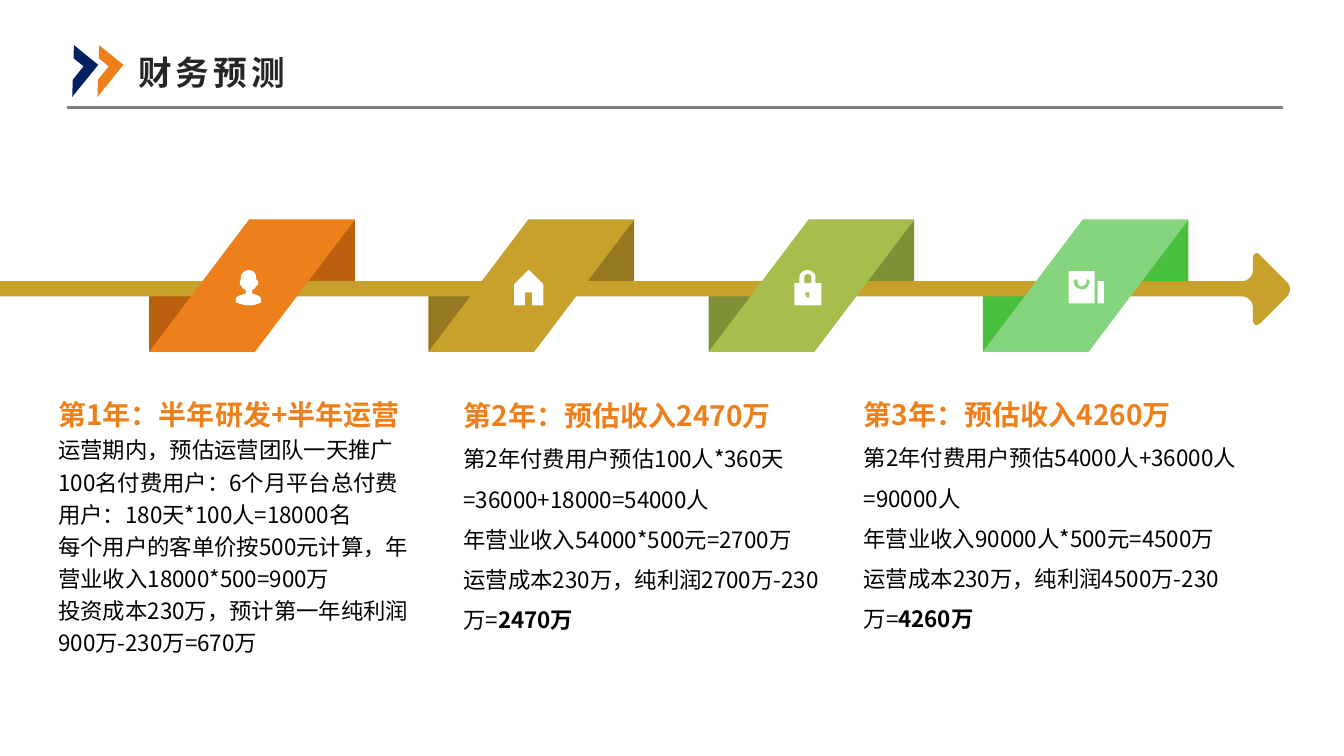
"""Build the financial forecast slide with its ribbon timeline and three yearly columns."""
from dataclasses import dataclass

from lxml import etree
from pptx import Presentation
from pptx.dml.color import RGBColor
from pptx.enum.shapes import MSO_CONNECTOR, MSO_SHAPE
from pptx.enum.text import MSO_ANCHOR, MSO_AUTO_SIZE, PP_ALIGN
from pptx.oxml.ns import qn
from pptx.util import Emu, Inches, Pt

RECTANGLE, HALF_FRAME = MSO_SHAPE.RECTANGLE, MSO_SHAPE.HALF_FRAME
STRAIGHT = MSO_CONNECTOR.STRAIGHT
MIDDLE, LEFT, NO_FIT = MSO_ANCHOR.MIDDLE, PP_ALIGN.LEFT, MSO_AUTO_SIZE.NONE

CELL = Inches(0.1)
COLUMNS, ROWS = 133.33, 75
CJK_FONT, LATIN_FONT = "Noto Sans CJK SC", "Arial"

ORANGE = RGBColor(0xEE, 0x80, 0x1C)
DARK_ORANGE = RGBColor(0xBA, 0x60, 0x0E)
GOLD = RGBColor(0xC8, 0xA0, 0x2C)
DARK_GOLD = RGBColor(0x96, 0x78, 0x21)
OLIVE = RGBColor(0xA7, 0xBD, 0x4C)
DARK_OLIVE = RGBColor(0x7F, 0x91, 0x36)
MINT = RGBColor(0x84, 0xD5, 0x7D)
GREEN = RGBColor(0x48, 0xC0, 0x3E)
NAVY = RGBColor(0x00, 0x20, 0x60)
GRAY = RGBColor(0x80, 0x80, 0x80)
INK = RGBColor(0x26, 0x26, 0x26)
BLACK = RGBColor(0, 0, 0)
WHITE = RGBColor(0xFF, 0xFF, 0xFF)

RIBBON_TOP, RIBBON_BOTTOM, RIBBON_WIDTH = 21.8, 34.9, 20.4
FLAP_WIDTH, FLAP_HEIGHT, FLAP_SHIFT = 10.5, 6.8, 9.9
ICON_SHIFT, ICON_TOP = 8.5, 26.8
CURVE_STEPS = 8

Contour = list[tuple[float, ...]]


@dataclass
class Ribbon:
    """A folded ribbon: its left column, colours and icon contours."""
    left: float
    front: RGBColor
    flap: RGBColor
    icon: list[Contour]


@dataclass
class Forecast:
    """One year's text column on the grid."""
    left: float
    top: float
    width: float
    height: float
    heading: str
    details: list[str]
    result: str
    pitch: float


PERSON = [[
    (2.6, 2.9), (2.6, 2.5, 1.9, 2.4, 1.7, 2.3), (1.7, 2), (1.9, 1.9, 2, 1.8, 2.1, 1.6),
    (2.2, 1.5, 2.3, 1.5, 2.3, 1.4), (2.3, 1.2, 2.3, 1, 2.1, 0.9), (2.1, 0.7),
    (2.1, 0.3, 1.8, 0, 1.4, 0), (1, 0, 0.6, 0.3, 0.6, 0.7), (0.6, 0.9),
    (0.5, 1, 0.5, 1.2, 0.5, 1.4), (0.5, 1.5, 0.6, 1.5, 0.7, 1.6),
    (0.7, 1.8, 0.9, 1.9, 1.1, 2), (1.1, 2.3), (0.9, 2.4, 0.2, 2.5, 0.1, 2.8),
    (0.1, 3.2), (0.2, 3.2, 0.7, 3.5, 1.4, 3.5), (2.1, 3.5, 2.6, 3.2, 2.6, 3.2),
]]
HOUSE = [[
    (0, 1.4), (1.4, 0), (1.5, 0), (2.9, 1.4), (2.9, 3.5), (1.8, 3.5),
    (1.8, 2.2), (1.1, 2.2), (1.1, 3.5), (0, 3.5),
]]
PADLOCK = [
    [(2.7, 1.3), (2.1, 1.3), (2.1, 0.8), (2.1, 0.3, 1.8, 0, 1.3, 0),
     (0.9, 0, 0.5, 0.3, 0.5, 0.8), (0.5, 1.3), (0, 1.3), (0, 3.5), (2.7, 3.5)],
    [(1.5, 2.2), (1.5, 2.7), (1.2, 2.7), (1.2, 2.5), (1.1, 2.5), (1.1, 2.2)],
    [(1.7, 1.3), (1, 1.3), (1, 0.8), (1, 0.5, 1.1, 0.4, 1.3, 0.4),
     (1.6, 0.4, 1.7, 0.5, 1.7, 0.8)],
]
SHOPPING_BAG = [
    [(0, 0.1), (2.6, 0.1), (2.6, 3.3), (0, 3.3)],
    [(1.6, 1.9), (1.2, 1.9), (0.8, 1.8, 0.5, 1.5, 0.5, 1.1), (0.5, 1, 0.6, 0.9, 0.7, 0.9),
     (0.8, 0.9, 0.9, 1, 0.9, 1.1), (0.9, 1.3, 1, 1.6, 1.3, 1.6),
     (1.5, 1.6, 1.8, 1.4, 1.8, 1.1), (1.8, 1, 1.8, 0.9, 1.9, 0.9),
     (2, 0.9, 2.1, 1, 2.1, 1.1), (2.1, 1.4, 1.9, 1.7, 1.6, 1.9)],
    [(2.9, 1.1), (3.5, 1.1), (3.5, 3.3), (2.9, 3.3)],
]
TIMELINE_ARROW = [[
    (127.6, 29.5), (128.1, 29, 128.1, 28.3, 127.6, 27.9), (125.1, 25.4),
    (124.7, 24.9, 124.3, 25.1, 124.3, 25.7), (124.3, 26.8),
    (124.3, 27.4, 123.8, 27.9, 123.2, 27.9), (0, 27.9), (0, 29.4), (123.2, 29.4),
    (123.8, 29.4, 124.3, 29.9, 124.3, 30.5), (124.3, 31.7),
    (124.3, 32.3, 124.7, 32.4, 125.1, 32),
]]
RIBBON_FRONT = [[
    (RIBBON_WIDTH, RIBBON_TOP), (FLAP_SHIFT, RIBBON_TOP),
    (0, RIBBON_BOTTOM), (FLAP_WIDTH, RIBBON_BOTTOM),
]]
RIBBONS = [
    Ribbon(14.8, ORANGE, DARK_ORANGE, PERSON),
    Ribbon(42.5, GOLD, DARK_GOLD, HOUSE),
    Ribbon(70.3, OLIVE, DARK_OLIVE, PADLOCK),
    Ribbon(97.5, MINT, GREEN, SHOPPING_BAG),
]
FORECASTS = [
    Forecast(4.8, 38.3, 37.7, 27.4, "第1年：半年研发+半年运营", [
        "运营期内，预估运营团队一天推广100名付费用户：6个月平台总付费用户：180天*100人=18000名",
        "每个用户的客单价按500元计算，年营业收入18000*500=900万",
        "投资成本230万，预计第一年纯利润900万-230万=670万"], "", 23),
    Forecast(45, 38.4, 37.5, 27.4, "第2年：预估收入2470万", [
        "第2年付费用户预估100人*360天=36000+18000=54000人",
        "年营业收入54000*500元=2700万",
        "运营成本230万，纯利润2700万-230万="], "2470万", 28.7),
    Forecast(84.7, 38.3, 39, 25.2, "第3年：预估收入4260万", [
        "第2年付费用户预估54000人+36000人=90000人",
        "年营业收入90000人*500元=4500万",
        "运营成本230万，纯利润4500万-230万="], "4260万", 28.7),
]


def grid(*cells: float) -> list[Emu]:
    """Turn grid cells into lengths."""
    return [Emu(round(cell * CELL)) for cell in cells]


def paint(shape, color: RGBColor) -> None:
    """Give a shape a flat fill without line or shadow."""
    shape.shadow.inherit = False
    shape.fill.solid()
    shape.fill.fore_color.rgb = color
    shape.line.fill.background()


def flatten(contour: Contour) -> list[tuple[float, float]]:
    """Replace each cubic curve of a contour by short straight steps."""
    points = [contour[0]]
    for segment in contour[1:]:
        if len(segment) == 2:
            points.append(segment)
            continue
        anchors = [points[-1], segment[:2], segment[2:4], segment[4:]]
        for step in range(1, CURVE_STEPS + 1):
            t = step / CURVE_STEPS
            weights = ((1 - t) ** 3, 3 * t * (1 - t) ** 2, 3 * t * t * (1 - t), t ** 3)
            points.append(tuple(sum(w * a[axis] for w, a in zip(weights, anchors))
                                for axis in (0, 1)))
    return points


def draw_outline(slide, contours: list[Contour], color: RGBColor,
                 left: float = 0, top: float = 0) -> None:
    """Draw closed contours as one freeform, moved by left and top cells."""
    builder = None
    for contour in contours:
        start, *rest = [grid(left + x, top + y) for x, y in flatten(contour)]
        if builder is None:
            builder = slide.shapes.build_freeform(*start, scale=1.0)
        else:
            builder.move_to(*start)
        builder.add_line_segments(rest, close=True)
    paint(builder.convert_to_shape(), color)


def style_run(run, size: float, color: RGBColor, bold: bool, latin: str = CJK_FONT) -> None:
    """Format a run, with one East Asian font throughout."""
    run.font.size, run.font.bold, run.font.name = Pt(size), bold, latin
    run.font.color.rgb = color
    etree.SubElement(run.font._element, qn("a:ea")).set("typeface", CJK_FONT)


def draw_title(slide) -> None:
    """Place the title, its double chevron and its rule."""
    title = slide.shapes.title
    title.left, title.top, title.width, title.height = grid(12.7, 3.3, 22.3, 7.7)
    frame = title.text_frame
    frame.text = "财务预测"
    frame.auto_size, frame.vertical_anchor = NO_FIT, MIDDLE
    frame.paragraphs[0].alignment = LEFT
    run = frame.paragraphs[0].runs[0]
    style_run(run, 24, INK, True, LATIN_FONT)
    run.font._element.set("spc", "300")
    rule = slide.shapes.add_connector(STRAIGHT, *grid(6.6, 10.7, 127.3, 10.7))
    rule.line.color.rgb, rule.line.width = GRAY, Pt(2.25)
    etree.SubElement(rule._element.spPr, qn("a:effectLst"))
    for left, color in ((5.2, NAVY), (7.7, ORANGE)):
        chevron = slide.shapes.add_shape(HALF_FRAME, *grid(left, 5.5, 4.1, 3.1))
        chevron.rotation = 129
        paint(chevron, color)


def draw_timeline(slide) -> None:
    """Draw the arrow threaded through the folded ribbons."""
    for ribbon in RIBBONS:
        for left, top in ((ribbon.left, RIBBON_BOTTOM - FLAP_HEIGHT),
                          (ribbon.left + FLAP_SHIFT, RIBBON_TOP)):
            flap = slide.shapes.add_shape(RECTANGLE, *grid(left, top, FLAP_WIDTH, FLAP_HEIGHT))
            paint(flap, ribbon.flap)
    draw_outline(slide, TIMELINE_ARROW, GOLD)
    for ribbon in RIBBONS:
        draw_outline(slide, RIBBON_FRONT, ribbon.front, ribbon.left)
        draw_outline(slide, ribbon.icon, WHITE, ribbon.left + ICON_SHIFT, ICON_TOP)


def draw_forecast(slide, year: Forecast) -> None:
    """Write one year's heading and details."""
    frame = slide.shapes.add_textbox(
        *grid(year.left, year.top, year.width, year.height)).text_frame
    frame.word_wrap = True
    frame.text = "\n".join([year.heading, *year.details])
    heading, *details = frame.paragraphs
    heading.line_spacing = Pt(28.7)
    style_run(heading.runs[0], 20, ORANGE, True)
    for detail in details:
        detail.line_spacing = Pt(year.pitch)
        style_run(detail.runs[0], 16, BLACK, False)
    if year.result:
        result = details[-1].add_run()
        result.text = year.result
        style_run(result, 16, BLACK, True)


def main() -> None:
    """Build and save the slide."""
    deck = Presentation()
    deck.slide_width, deck.slide_height = grid(COLUMNS, ROWS)
    slide = deck.slides.add_slide(deck.slide_layouts.get_by_name("Title Only"))
    draw_timeline(slide)
    draw_title(slide)
    for year in FORECASTS:
        draw_forecast(slide, year)
    deck.save("out.pptx")


if __name__ == "__main__":
    main()
